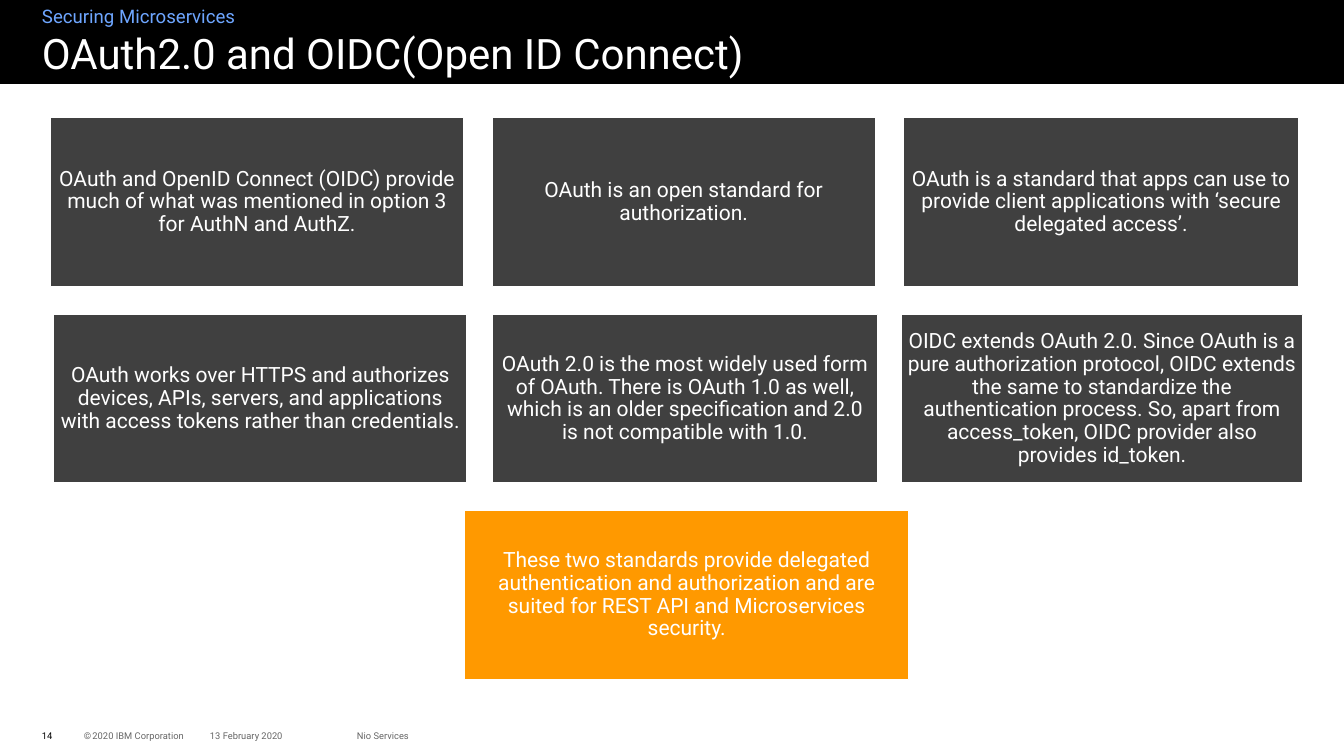
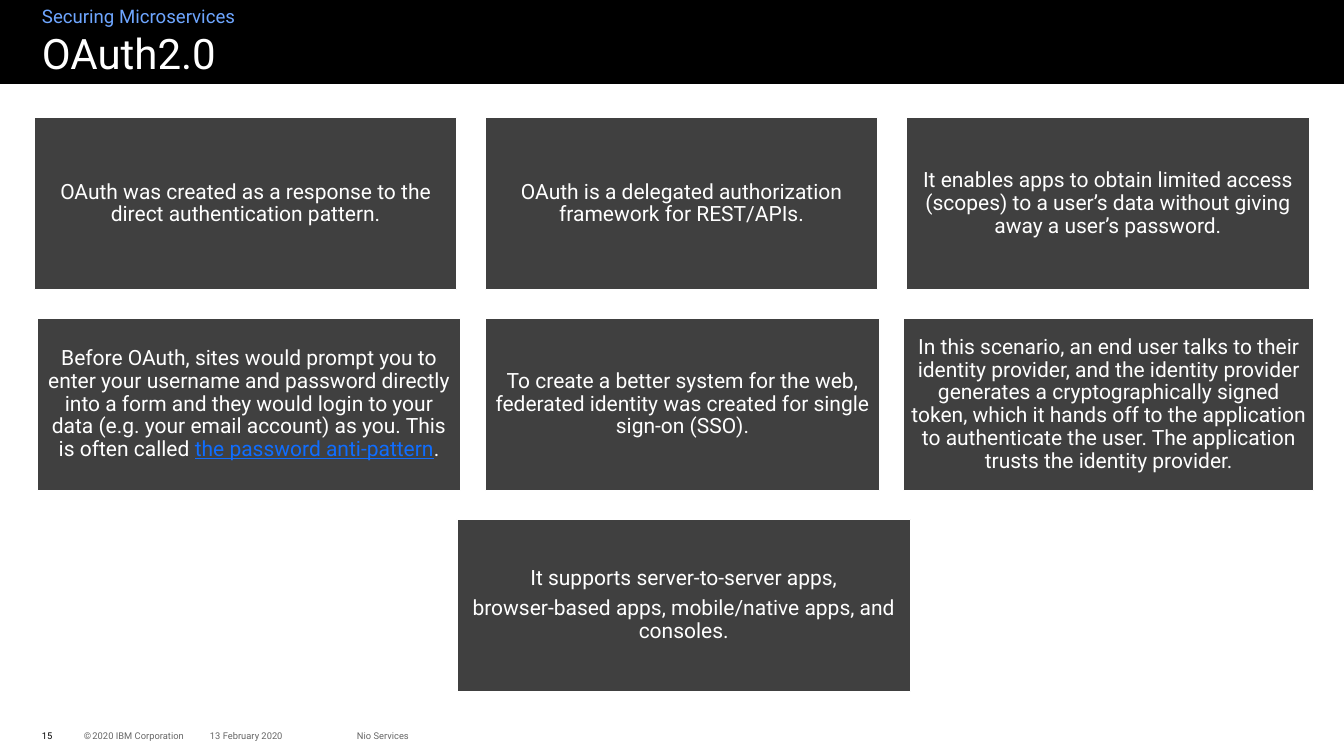
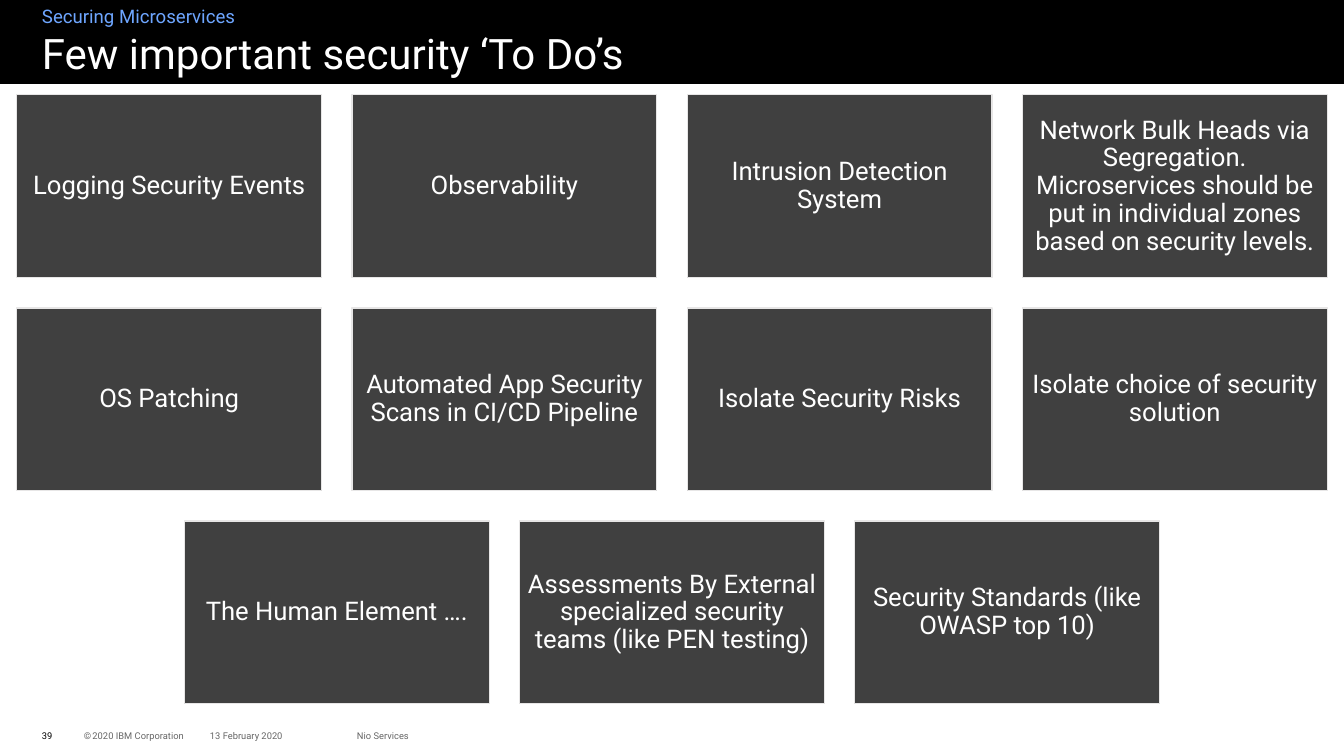
import pptx
import pptx.util
import pptx.dml.color
import pptx.enum.shapes
import pptx.enum.text

Inches = pptx.util.Inches
Pt = pptx.util.Pt
ALIGN = pptx.enum.text.PP_ALIGN
ANCHOR = pptx.enum.text.MSO_ANCHOR
RECT = pptx.enum.shapes.MSO_SHAPE.RECTANGLE

HUES = {
    "black": "000000", "white": "FFFFFF", "dark": "404040", "gold": "FF9900",
    "sky": "6EA6FF", "link": "0F6DFF", "gray": "666666", "pale": "E7E6E6",
}
FONT = "Roboto"
WIDE, TALL = 16, 9
TOPIC = "Securing Microservices"

TOPIC_STYLE = {"size": 16, "hue": "sky", "lines": {"line_spacing": 1.05}}
TITLE_STYLE = {"size": 36, "hue": "white", "lines": {"line_spacing": 0.9}}
NOTE_STYLE = {"size": 8, "hue": "gray", "anchor": ANCHOR.MIDDLE}
PAGE_STYLE = {**NOTE_STYLE, "hue": "black"}
CARD_STYLE = {
    "hue": "white", "anchor": ANCHOR.MIDDLE,
    "lines": {"alignment": ALIGN.CENTER, "line_spacing": 0.9, "space_after": Pt(6)},
}
SMALL_CARD = {**CARD_STYLE, "size": 18, "inset": 0.07}
LARGE_CARD = {**CARD_STYLE, "size": 22, "inset": 0.09}

FOOTER = [
    (1, 2.5, [[("©", {}), (" ", {"size": Pt(4)}), ("2020 IBM Corporation", {})]]),
    (2.5, 1.5, ["13 February 2020"]),
    (4.25, 2.5, ["Nio Services"]),
]


def tint(name):
    return pptx.dml.color.RGBColor.from_string(HUES[name])


def apply(thing, values):
    for key, value in values.items():
        setattr(thing, key, value)


def write(shape, paras, style):
    """Fill a shape with paragraphs, each a string or a list of (text, font values)."""
    frame = shape.text_frame
    inset = Inches(style.get("inset", 0))
    apply(frame, {
        "word_wrap": True,
        "vertical_anchor": style.get("anchor", ANCHOR.TOP),
        **{"margin_" + side: inset for side in ("left", "top", "right", "bottom")},
    })
    for i, runs in enumerate(paras):
        para = frame.add_paragraph() if i else frame.paragraphs[0]
        apply(para, {"alignment": ALIGN.LEFT, **style.get("lines", {})})
        for text, extra in [(runs, {})] if isinstance(runs, str) else runs:
            run = para.add_run()
            run.text = text
            values = {"name": FONT, "size": Pt(style["size"]), **extra}
            run.font.color.rgb = tint(values.pop("hue", style["hue"]))
            apply(run.font, values)


def label(slide, box, paras, style):
    write(slide.shapes.add_textbox(*map(Inches, box)), paras, style)


def block(slide, box, fill, line=None):
    shape = slide.shapes.add_shape(RECT, *map(Inches, box))
    shape.shadow.inherit = False
    shape.fill.solid()
    shape.fill.fore_color.rgb = tint(fill)
    if line:
        shape.line.color.rgb = tint(line)
        shape.line.width = Pt(1)
    else:
        shape.line.fill.background()
    return shape


def header(slide, box, title):
    left, top, width, _ = box
    block(slide, box, "black")
    label(slide, (left + 0.5, top + 0.05, 7.2, 0.3), [TOPIC], TOPIC_STYLE)
    label(slide, (left + 0.5, top + 0.4, width - 1, 0.6), [title], TITLE_STYLE)


def footer(slide, box, page):
    left, top, _, height = box
    label(slide, (left + 0.5, top, 0.36, height), [str(page)], PAGE_STYLE)
    for shift, width, paras in FOOTER:
        label(slide, (left + shift, top, width, height), paras, NOTE_STYLE)


def start(deck, title, page):
    slide = deck.slides.add_slide(deck.slide_layouts[6])
    header(slide, (0, 0, WIDE, 1), title)
    footer(slide, (0, 8.64, WIDE, 0.24), page)
    return slide


def facts(slide, top, height, pitch, rows, last="dark"):
    """Draw rows of cards, each card a (left, width, paragraphs); last fills the final row."""
    for i, row in enumerate(rows):
        fill = last if i == len(rows) - 1 else "dark"
        for left, width, paras in row:
            card = block(slide, (left, top + i * pitch, width, height), fill, "white")
            write(card, paras, SMALL_CARD)


def tasks(slide, box, rows, gap=0.36):
    """Draw rows of equal cards, each row centred in the box."""
    left, top, width, height = box
    most = max(map(len, rows))
    wide = (width - gap * (most - 1)) / most
    tall = (height - gap * (len(rows) - 1)) / len(rows)
    for i, row in enumerate(rows):
        indent = (most - len(row)) * (wide + gap) / 2
        for j, text in enumerate(row):
            x = left + indent + j * (wide + gap)
            y = top + i * (tall + gap)
            write(block(slide, (x, y, wide, tall), "dark", "pale"), [text], LARGE_CARD)


OIDC = [
    [
        (0.6, 4.92, ["OAuth and OpenID Connect (OIDC) provide much of what was "
                     "mentioned in option 3 for AuthN and AuthZ."]),
        (5.86, 4.56, ["OAuth is an open standard for authorization."]),
        (10.76, 4.7, ["OAuth is a standard that apps can use to provide client "
                      "applications with ‘secure delegated access’."]),
    ],
    [
        (0.64, 4.92, ["OAuth works over HTTPS and authorizes devices, APIs, servers, and "
                      "applications with access tokens rather than credentials."]),
        (5.86, 4.59, ["OAuth 2.0 is the most widely used form of OAuth. There is OAuth 1.0 "
                      "as well, which is an older specification and 2.0 is not compatible "
                      "with 1.0."]),
        (10.73, 4.78, ["OIDC extends OAuth 2.0. Since OAuth is a pure authorization "
                       "protocol, OIDC extends the same to standardize the authentication "
                       "process. So, apart from access_token, OIDC provider also provides "
                       "id_token."]),
    ],
    [
        (5.53, 5.29, ["These two standards provide delegated authentication and "
                      "authorization and are suited for REST API and Microservices "
                      "security."]),
    ],
]

OAUTH = [
    [
        (0.41, 5.03, ["OAuth was created as a response to the direct authentication "
                      "pattern."]),
        (5.78, 4.67, ["OAuth is a delegated authorization framework for REST/APIs."]),
        (10.79, 4.8, ["It enables apps to obtain limited access (scopes) to a user’s data "
                      "without giving away a user’s password."]),
    ],
    [
        (0.45, 5.03, [[
            ("Before OAuth, sites would prompt you to enter your username and password "
             "directly into a form and they would login to your data (e.g. your email "
             "account) as you. This is often called ", {}),
            ("the password anti-pattern", {"hue": "link", "underline": True}),
            (".", {}),
        ]]),
        (5.78, 4.69, ["To create a better system for the web, federated identity was "
                      "created for single sign-on (SSO)."]),
        (10.76, 4.88, ["In this scenario, an end user talks to their identity provider, "
                       "and the identity provider generates a cryptographically signed "
                       "token, which it hands off to the application to authenticate the "
                       "user. The application trusts the identity provider."]),
    ],
    [
        (5.44, 5.4, ["It supports server-to-server apps,",
                     "browser-based apps, mobile/native apps, and consoles."]),
    ],
]

TO_DO = [
    ["Logging Security Events", "Observability", "Intrusion Detection System",
     "Network Bulk Heads via Segregation. Microservices should be put in individual "
     "zones based on security levels."],
    ["OS Patching", "Automated App Security Scans in CI/CD Pipeline",
     "Isolate Security Risks", "Isolate choice of security solution"],
    ["The Human Element ….",
     "Assessments By External specialized security teams (like PEN testing)",
     "Security Standards (like OWASP top 10)"],
]


def main():
    deck = pptx.Presentation()
    apply(deck, {"slide_width": Inches(WIDE), "slide_height": Inches(TALL)})
    facts(start(deck, "OAuth2.0 and OIDC(Open ID Connect)", 14), 1.4, 2.01, 2.34, OIDC, "gold")
    facts(start(deck, "OAuth2.0", 15), 1.4, 2.05, 2.39, OAUTH)
    tasks(start(deck, "Few important security ‘To Do’s", 39), (0.2, 1.13, 15.6, 7.25), TO_DO)
    deck.save("out.pptx")


if __name__ == "__main__":
    main()
